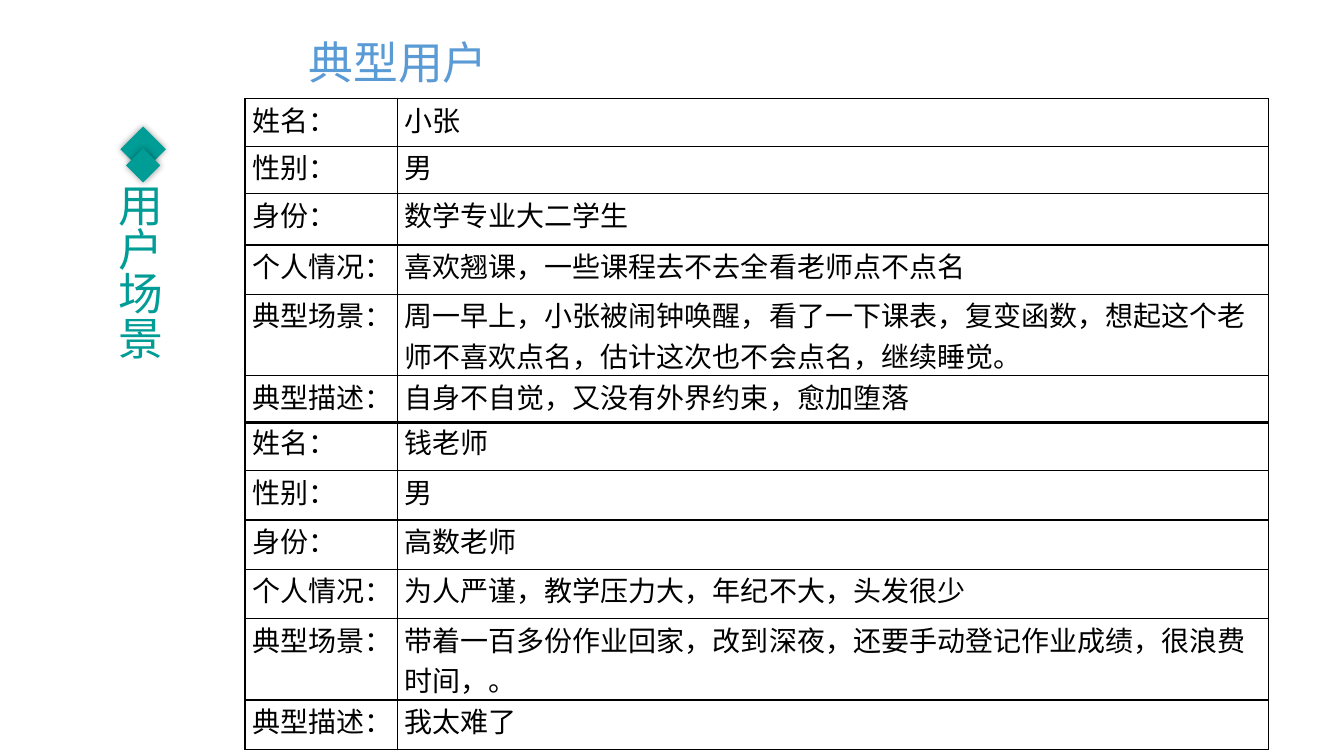
import pptx
import pptx.dml.color
import pptx.enum.lang
import pptx.enum.shapes
import pptx.enum.text
import pptx.oxml
import pptx.oxml.ns
import pptx.util

COLORS = {"teal": "009C96", "blue": "5B9BD5", "black": "000000"}
WIDTH = pptx.util.Inches(13.33)
HEIGHT = pptx.util.Inches(7.5)
CHINESE_FONT = "Noto Sans CJK JP"

TABLE_LEFT = 18.23
COLUMN_SHARES = [11.33, 64.82]
LABELS = ["姓名：", "性别：", "身份：", "个人情况：", "典型场景：", "典型描述："]
STUDENT = [
    "小张",
    "男",
    "数学专业大二学生",
    "喜欢翘课，一些课程去不去全看老师点不点名",
    "周一早上，小张被闹钟唤醒，看了一下课表，复变函数，想起这个老师不喜欢点名，估计这次也不会点名，继续睡觉。",
    "自身不自觉，又没有外界约束，愈加堕落",
]
TEACHER = [
    "钱老师",
    "男",
    "高数老师",
    "为人严谨，教学压力大，年纪不大，头发很少",
    "带着一百多份作业回家，改到深夜，还要手动登记作业成绩，很浪费时间，。",
    "我太难了",
]


def across(percent):
    return round(WIDTH * percent / 100)


def down(percent):
    return round(HEIGHT * percent / 100)


def rgb(name):
    return pptx.dml.color.RGBColor.from_string(COLORS[name])


def add_xml(parent, markup):
    namespace = pptx.oxml.ns.nsdecls("a")
    tag, rest = markup[1:].split(" ", 1)
    parent.append(pptx.oxml.parse_xml(f"<{tag} {namespace} {rest}"))


def write(frame, text, size=20, font="Calibri", color="black", align=None,
          line_spacing=None, letter_spacing=None):
    frame.word_wrap = True
    para = frame.paragraphs[0]
    para.alignment = align
    para.line_spacing = line_spacing
    span = para.add_run()
    span.text = text
    span.font.size = pptx.util.Pt(size)
    span.font.name = font
    span.font.color.rgb = rgb(color)
    span.font.language_id = pptx.enum.lang.MSO_LANGUAGE_ID.SIMPLIFIED_CHINESE
    properties = span.font._element
    add_xml(properties, f'<a:ea typeface="{CHINESE_FONT}"/>')
    if letter_spacing:
        properties.set("spc", str(letter_spacing * 100))


def add_diamond(page, left, top, side):
    diamond = page.shapes.add_shape(
        pptx.enum.shapes.MSO_SHAPE.RECTANGLE,
        across(left), down(top), across(side), across(side))
    diamond.rotation = 225
    diamond.fill.solid()
    diamond.fill.fore_color.rgb = rgb("teal")
    diamond.line.fill.background()
    diamond.shadow.inherit = False
    effects = diamond._element.spPr.find(pptx.oxml.ns.qn("a:effectLst"))
    add_xml(effects, f'<a:outerShdw blurRad="{pptx.util.Pt(5)}" dist="0" dir="0">'
                     f'<a:srgbClr val="{COLORS["black"]}"><a:alpha val="40000"/>'
                     '</a:srgbClr></a:outerShdw>')


def add_text(page, left, top, width, height, text, **style):
    box = page.shapes.add_textbox(
        across(left), down(top), across(width), down(height))
    write(box.text_frame, text, **style)
    return box


def add_side_title(page, text):
    box = add_text(page, -4.65, 46.8, 30.6, 9.07, text, size=32,
                   font=CHINESE_FONT, color="teal", line_spacing=0.82,
                   letter_spacing=6)
    box.rotation = 90
    box.text_frame._txBody.bodyPr.set("vert", "vert270")


def format_cell(cell, text):
    cell.margin_left = cell.margin_right = across(0.53)
    cell.margin_top = cell.margin_bottom = 0
    write(cell.text_frame, text)
    properties = cell._tc.get_or_add_tcPr()
    for side in ("lnL", "lnR", "lnT", "lnB"):
        add_xml(properties, f'<a:{side} w="{pptx.util.Pt(1)}"><a:solidFill>'
                            f'<a:srgbClr val="{COLORS["black"]}"/>'
                            f'</a:solidFill></a:{side}>')
    cell.fill.background()


def add_user_table(page, top, values, row_shares):
    table = page.shapes.add_table(
        len(LABELS), len(COLUMN_SHARES), across(TABLE_LEFT), down(top),
        across(sum(COLUMN_SHARES)), down(sum(row_shares))).table
    table.first_row = False
    table.horz_banding = False
    for column, share in zip(table.columns, COLUMN_SHARES):
        column.width = across(share)
    for row, share, texts in zip(table.rows, row_shares, zip(LABELS, values)):
        row.height = down(share)
        for cell, text in zip(row.cells, texts):
            format_cell(cell, text)


def main():
    deck = pptx.Presentation()
    deck.slide_width = WIDTH
    deck.slide_height = HEIGHT
    page = deck.slides.add_slide(deck.slide_layouts[6])
    add_diamond(page, 9.45, 17.6, 2.4)
    add_diamond(page, 9.75, 20.27, 1.8)
    add_side_title(page, "用户场景")
    add_user_table(page, 13.07, STUDENT, [6.27, 6.27, 6.8, 6.53, 9.33, 6.27])
    add_user_table(page, 55.73, TEACHER, [6.53] * len(LABELS))
    add_text(page, 13.2, 3.87, 32.86, 8.53, "典型用户", size=32, color="blue",
             align=pptx.enum.text.PP_ALIGN.CENTER)
    deck.save("out.pptx")


if __name__ == "__main__":
    main()
